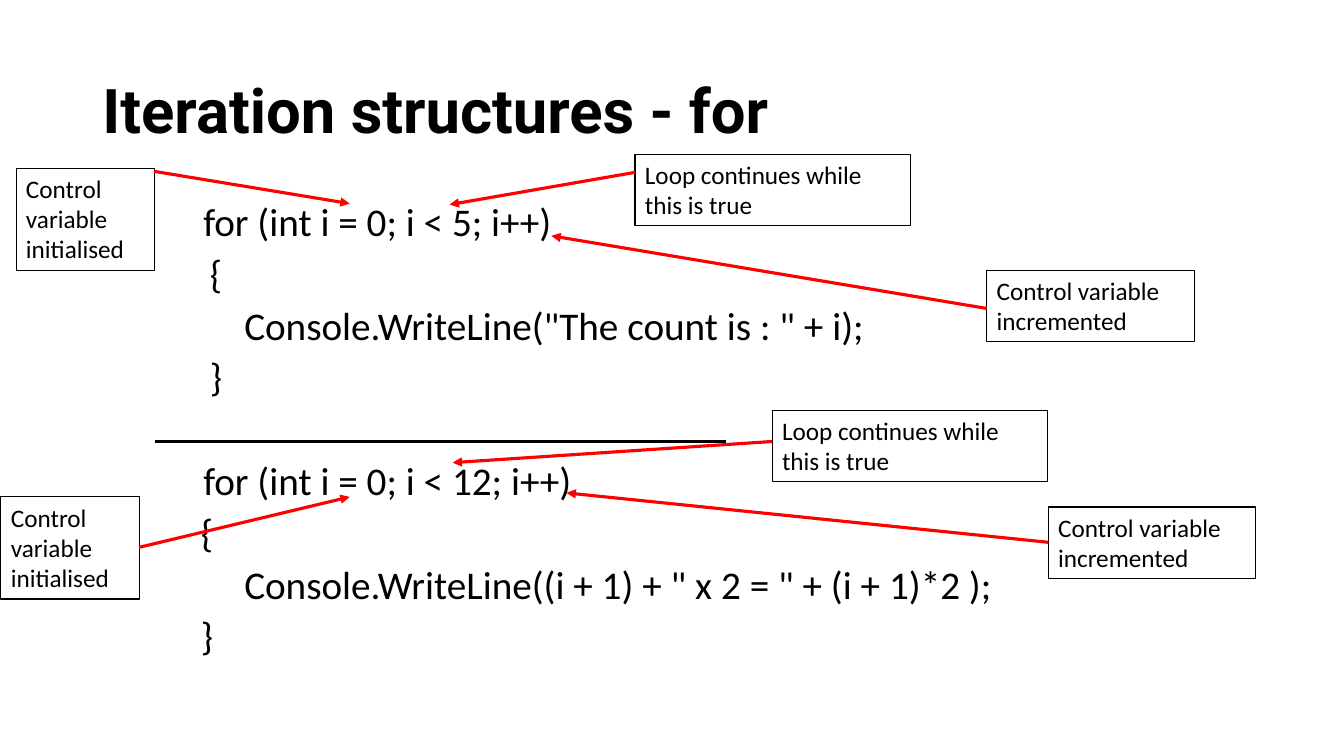
from lxml.etree import SubElement
from pptx import Presentation
from pptx.dml.color import RGBColor
from pptx.enum.shapes import MSO_CONNECTOR
from pptx.enum.text import MSO_ANCHOR, MSO_AUTO_SIZE, PP_ALIGN
from pptx.oxml.ns import qn
from pptx.util import Inches, Pt

BLACK = RGBColor(0x00, 0x00, 0x00)
RED = RGBColor(0xFF, 0x00, 0x00)

SLIDE_WIDTH, SLIDE_HEIGHT = Inches(13.333), Inches(7.5)
COLUMNS, ROWS = 40, 22.5

# Each code line: text, indent in columns, space before in points
FOR_INDENT, CALL_INDENT = 3, 4.22
LINE_GAP, BLOCK_GAP = 10, 47.3
LOOPS = [
    ("for (int i = 0; i < 5; i++)",
     'Console.WriteLine("The count is : " + i);', 3.2, LINE_GAP),
    ("for (int i = 0; i < 12; i++)",
     'Console.WriteLine((i + 1) + " x 2 = " + (i + 1)*2 );', 2.93, BLOCK_GAP),
]

# Each note: text, width, height, whether its arrow leaves on the right
INITIALISED = ("Control variable initialised", 4.11, 3.04, True)
CONDITION = ("Loop continues while this is true", 8.19, 2.13, False)
INCREMENTED = ("Control variable incremented", 6.18, 2.13, False)

# Note, left, top, row where the arrow starts, arrow target
ANNOTATIONS = [
    (INITIALISED, 0.48, 5.01, 5.1, (10.41, 6.06)),
    (CONDITION, 18.9, 4.59, 5.13, (13.38, 6.09)),
    (INCREMENTED, 29.37, 8.04, 9.18, (16.41, 7.02)),
    (INITIALISED, 0.03, 14.79, 16.29, (10.41, 14.79)),
    (CONDITION, 22.98, 12.21, 13.14, (13.47, 13.77)),
    (INCREMENTED, 31.2, 15.09, 16.14, (16.86, 14.67)),
]


def write(paragraph, text, size=18, font="Calibri", color=BLACK, bold=False,
          line_spacing=None, before=0, indent=None):
    """Fill a paragraph; an indent also takes away its inherited bullet."""
    run = paragraph.add_run()
    run.text = text
    run.font.size, run.font.name, run.font.bold = Pt(size), font, bold
    run.font.color.rgb = color
    paragraph.alignment = PP_ALIGN.LEFT
    paragraph.space_before = Pt(before)
    if line_spacing:
        paragraph.line_spacing = line_spacing
    if indent is not None:
        properties = paragraph._p.get_or_add_pPr()
        properties.set("marL", str(indent))
        properties.set("indent", "0")
        SubElement(properties, qn("a:buNone"))


class CodeSlide:
    def __init__(self, deck):
        self.slide = deck.slides.add_slide(deck.slide_layouts[1])
        self.column = SLIDE_WIDTH / COLUMNS
        self.row = SLIDE_HEIGHT / ROWS

    def x(self, columns):
        return round(columns * self.column)

    def y(self, rows):
        return round(rows * self.row)

    def place(self, holder, left, top, width, height, anchor):
        holder.left, holder.top = self.x(left), self.y(top)
        holder.width, holder.height = self.x(width), self.y(height)
        frame = holder.text_frame
        frame.auto_size, frame.word_wrap = MSO_AUTO_SIZE.NONE, True
        frame.vertical_anchor = anchor
        return frame

    def title(self, text):
        frame = self.place(self.slide.shapes.title, 2.75, 1.2, 34.5, 4.35,
                           MSO_ANCHOR.MIDDLE)
        write(frame.paragraphs[0], text, size=44, font="Roboto", bold=True,
              line_spacing=0.9)

    def code(self, lines):
        frame = self.place(self.slide.placeholders[1], 2.75, 6, 34.5, 14.28,
                           MSO_ANCHOR.TOP)
        for number, (text, indent, before) in enumerate(lines):
            paragraph = frame.add_paragraph() if number else frame.paragraphs[0]
            write(paragraph, text, size=28, line_spacing=0.8, before=before,
                  indent=self.x(indent))

    def line(self, start, end, color=BLACK, arrow=False):
        connector = self.slide.shapes.add_connector(
            MSO_CONNECTOR.STRAIGHT, self.x(start[0]), self.y(start[1]),
            self.x(end[0]), self.y(end[1]))
        connector.line.color.rgb = color
        connector.line.width = Pt(2.25)
        if arrow:
            SubElement(connector.line._get_or_add_ln(), qn("a:tailEnd"),
                       type="triangle")
        SubElement(connector._element.spPr, qn("a:effectLst"))

    def note(self, text, left, top, width, height):
        box = self.slide.shapes.add_textbox(
            self.x(left), self.y(top), self.x(width), self.y(height))
        box.line.color.rgb = BLACK
        box.line.width = Pt(0.75)
        frame = box.text_frame
        frame.word_wrap = True
        frame.auto_size = MSO_AUTO_SIZE.SHAPE_TO_FIT_TEXT
        write(frame.paragraphs[0], text)


def code_lines():
    for header, call, brace_indent, gap in LOOPS:
        yield header, FOR_INDENT, gap
        yield "{", brace_indent, LINE_GAP
        yield call, CALL_INDENT, LINE_GAP
        yield "}", brace_indent, LINE_GAP


def main():
    deck = Presentation()
    deck.slide_width, deck.slide_height = SLIDE_WIDTH, SLIDE_HEIGHT
    page = CodeSlide(deck)
    page.title("Iteration structures - for")
    page.code(code_lines())
    page.line((4.6, 13.13), (21.6, 13.13))
    for note, left, top, arrow_row, target in ANNOTATIONS:
        text, width, height, leaves_right = note
        page.note(text, left, top, width, height)
        edge = left + width if leaves_right else left
        page.line((edge, arrow_row), target, color=RED, arrow=True)
    deck.save("out.pptx")


if __name__ == "__main__":
    main()
